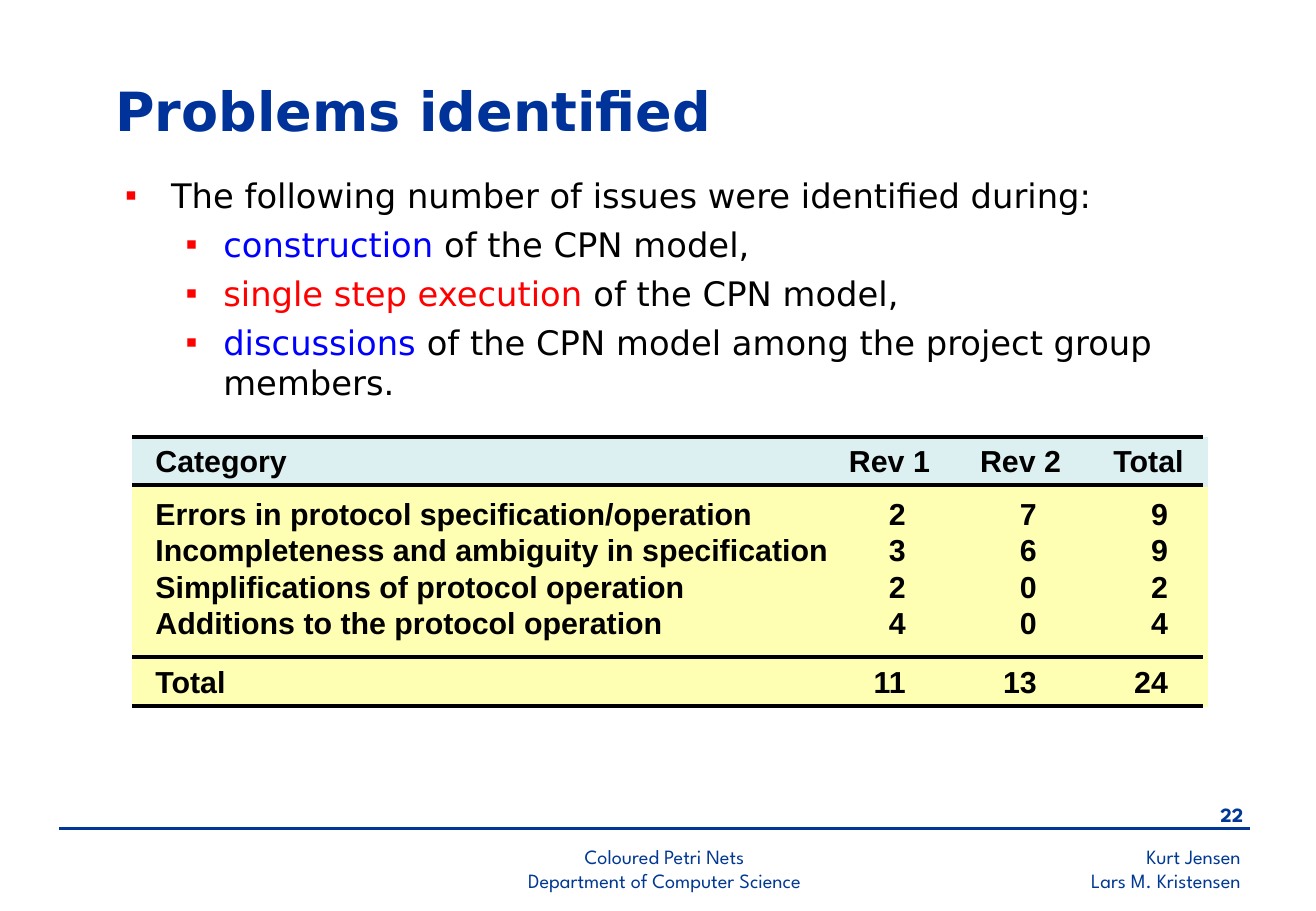
from dataclasses import dataclass

from lxml.etree import SubElement
from pptx import Presentation
from pptx.dml.color import RGBColor
from pptx.enum.shapes import MSO_CONNECTOR as Connector
from pptx.enum.text import MSO_ANCHOR as Anchor, MSO_AUTO_SIZE as AutoSize, PP_ALIGN as Align
from pptx.oxml.ns import qn
from pptx.util import Inches, Pt

COLOURS = {
    "navy": "003893",
    "title": "003399",
    "black": "000000",
    "blue": "0000FF",
    "red": "FF0000",
    "header": "DDF0F1",
    "body": "FFFFB3",
}
BODY_FONT = "DejaVu Sans"
FOOTER_FONT = "League Spartan"
TABLE_FONT = "Arial"
PLAIN_TABLE_STYLE = "{2D5ABB26-0587-4C30-8999-92F81FD0307C}"


@dataclass
class Footer:
    left: float
    top: float
    width: float
    height: float
    lines: list[str]
    align: Align
    bold: bool = False


@dataclass
class Rule:
    left: float
    right: float
    top: float
    colour: str
    weight: float


@dataclass
class Bullet:
    level: int
    runs: list[tuple[str, str]]


@dataclass
class Column:
    width: float
    align: Align
    header_inset: float
    value_inset: float


@dataclass
class Row:
    height: float
    cells: list[str]
    fill: str = "body"
    anchor: Anchor = Anchor.MIDDLE


FOOTERS = [
    Footer(6.95, 6.9, 3.37, 0.5, ["Kurt Jensen", "Lars M. Kristensen"], Align.RIGHT),
    Footer(9.63, 6.56, 0.71, 0.33, ["22"], Align.RIGHT, bold=True),
    Footer(3.41, 6.9, 4.13, 0.47, ["Coloured Petri Nets", "Department of Computer Science"],
           Align.CENTER),
]
FOOTER_RULE = Rule(0.49, 10.3, 6.82, "navy", 1.5)
TABLE_RULES = [Rule(1.09, 9.91, top, "black", 2.25) for top in (3.6, 3.99, 5.41, 5.81)]
BULLETS = [
    Bullet(0, [("The following number of issues were identified during:", "black")]),
    Bullet(1, [("construction", "blue"), (" of the CPN model,", "black")]),
    Bullet(1, [("single step execution", "red"), (" of the CPN model,", "black")]),
    Bullet(1, [("discussions", "blue"),
               (" of the CPN model among the project group members.", "black")]),
]
INDENTS = [(0.38, -0.38), (0.81, -0.31)]
COLUMNS = [
    Column(5.85, Align.LEFT, 0, 0),
    Column(0.77, Align.RIGHT, 0.05, 0.25),
    Column(1.08, Align.RIGHT, 0.05, 0.25),
    Column(1.16, Align.RIGHT, 0.2, 0.33),
]
ROWS = [
    Row(0.41, ["Category", "Rev 1", "Rev 2", "Total"], "header"),
    Row(0.37, ["Errors in protocol specification/operation", "2", "7", "9"],
        anchor=Anchor.BOTTOM),
    Row(0.31, ["Incompleteness and ambiguity in specification", "3", "6", "9"]),
    Row(0.31, ["Simplifications of protocol operation", "2", "0", "2"]),
    Row(0.42, ["Additions to the protocol operation", "4", "0", "4"], anchor=Anchor.TOP),
    Row(0.4, ["Total", "11", "13", "24"]),
]


def colour(name: str) -> RGBColor:
    return RGBColor.from_string(COLOURS[name])


def set_font(font, name: str, size: float, bold: bool = False) -> None:
    font.name, font.size, font.bold = name, Pt(size), bold


def place(shape, left: float, top: float, width: float, height: float) -> None:
    shape.left, shape.top = Inches(left), Inches(top)
    shape.width, shape.height = Inches(width), Inches(height)


def add_footer(slide, footer: Footer) -> None:
    box = slide.shapes.add_textbox(Inches(footer.left), Inches(footer.top),
                                   Inches(footer.width), Inches(footer.height))
    frame = box.text_frame
    frame.word_wrap = True
    frame.text = "\n".join(footer.lines)
    for paragraph in frame.paragraphs:
        paragraph.alignment = footer.align
        set_font(paragraph.font, FOOTER_FONT, 12, footer.bold)
        paragraph.font.color.rgb = colour("navy")


def add_rule(slide, rule: Rule) -> None:
    connector = slide.shapes.add_connector(Connector.STRAIGHT, Inches(rule.left),
                                           Inches(rule.top), Inches(rule.right),
                                           Inches(rule.top))
    connector.line.color.rgb = colour(rule.colour)
    connector.line.width = Pt(rule.weight)
    SubElement(connector._element.spPr, qn("a:effectLst"))


def fill_title(title) -> None:
    place(title, 0.85, 0.56, 7.96, 0.69)
    frame = title.text_frame
    frame.text = "Problems identified"
    frame.auto_size = AutoSize.NONE
    frame.vertical_anchor = Anchor.MIDDLE
    paragraph = frame.paragraphs[0]
    paragraph.alignment = Align.LEFT
    set_font(paragraph.font, BODY_FONT, 32, bold=True)
    paragraph.font.color.rgb = colour("title")


def fill_body(body, bullets: list[Bullet]) -> None:
    place(body, 0.93, 1.39, 8.94, 2.13)
    frame = body.text_frame
    frame.auto_size = AutoSize.NONE
    for index, bullet in enumerate(bullets):
        paragraph = frame.add_paragraph() if index else frame.paragraphs[0]
        paragraph.level = bullet.level
        paragraph.space_before = Pt(5 if index else 0)
        properties = paragraph._p.get_or_add_pPr()
        margin, indent = INDENTS[bullet.level]
        properties.set("marL", str(Inches(margin)))
        properties.set("indent", str(Inches(indent)))
        bullet_colour = SubElement(properties, qn("a:buClr"))
        SubElement(bullet_colour, qn("a:srgbClr"), val=COLOURS["red"])
        SubElement(properties, qn("a:buChar"), char="▪")
        set_font(paragraph.font, BODY_FONT, 20)
        for text, name in bullet.runs:
            run = paragraph.add_run()
            run.text = text
            run.font.color.rgb = colour(name)


def fill_cell(cell, text: str, row: Row, column: Column, inset: float) -> None:
    cell.fill.solid()
    cell.fill.fore_color.rgb = colour(row.fill)
    cell.vertical_anchor = row.anchor
    cell.margin_top = cell.margin_bottom = 0
    cell.margin_left = Inches(0.19 if column.align == Align.LEFT else 0)
    cell.margin_right = Inches(inset)
    cell.text = text
    paragraph = cell.text_frame.paragraphs[0]
    paragraph.alignment = column.align
    set_font(paragraph.font, TABLE_FONT, 18, bold=True)
    paragraph.font.color.rgb = colour("black")


def add_issue_table(slide, rows: list[Row], columns: list[Column]) -> None:
    frame = slide.shapes.add_table(len(rows), len(columns), Inches(1.09), Inches(3.6),
                                   Inches(sum(column.width for column in columns)),
                                   Inches(sum(row.height for row in rows)))
    table = frame.table
    table.horz_banding = False
    table._tbl.tblPr.find(qn("a:tableStyleId")).text = PLAIN_TABLE_STYLE
    for index, column in enumerate(columns):
        table.columns[index].width = Inches(column.width)
    for row_index, row in enumerate(rows):
        table.rows[row_index].height = Inches(row.height)
        for index, column in enumerate(columns):
            inset = column.value_inset if row_index else column.header_inset
            fill_cell(table.cell(row_index, index), row.cells[index], row, column, inset)


def main() -> None:
    presentation = Presentation()
    presentation.slide_width, presentation.slide_height = Inches(10.84), Inches(7.5)
    slide = presentation.slides.add_slide(presentation.slide_layouts[1])
    fill_title(slide.shapes.title)
    fill_body(slide.placeholders[1], BULLETS)
    add_issue_table(slide, ROWS, COLUMNS)
    for rule in [*TABLE_RULES, FOOTER_RULE]:
        add_rule(slide, rule)
    for footer in FOOTERS:
        add_footer(slide, footer)
    presentation.save("out.pptx")


if __name__ == "__main__":
    main()
